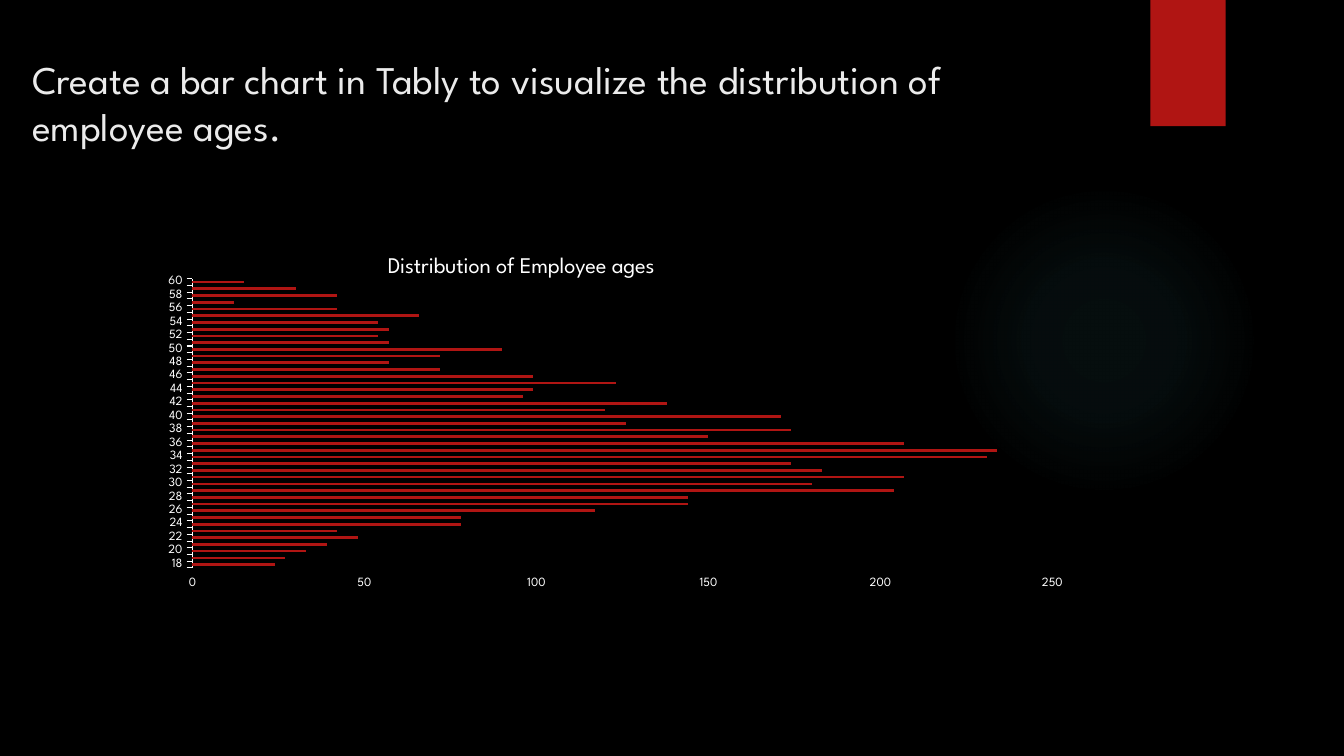
from pptx import Presentation
from pptx.chart.data import CategoryChartData
from pptx.dml.color import RGBColor
from pptx.enum.chart import XL_CHART_TYPE, XL_TICK_MARK
from pptx.enum.shapes import MSO_SHAPE
from pptx.enum.text import MSO_ANCHOR
from pptx.oxml import parse_xml
from pptx.oxml.ns import nsdecls, qn
from pptx.util import Inches, Pt
from lxml.etree import SubElement

WIDE, HIGH = 13.33, 7.5
THEME = {
    "back": "000000", "red": "B01513", "glow": "50B9C1",
    "head": {"name": "League Spartan", "size": Pt(28), "color": "EBEBEB"},
    "base": {"name": "League Spartan", "size": Pt(10), "color": "FFFFFF"},
    "axis": {"name": "League Spartan", "size": Pt(9), "color": "FFFFFF"},
    "title": {"name": "League Spartan", "size": Pt(16), "color": "FFFFFF", "bold": False},
}
FIRST_AGE = 18
COUNTS = [24, 27, 33, 39, 48, 42, 78, 78, 117, 144, 144, 204, 180, 207, 183,
          174, 231, 234, 207, 150, 174, 126, 171, 120, 138, 96, 99, 123, 99,
          72, 57, 72, 90, 57, 54, 57, 54, 66, 42, 12, 42, 30, 15]


def share(x, y, w, h):
    """Turn shares of the slide into a box."""
    return [Inches(v * side) for v, side in zip((x, y, w, h), (WIDE, HIGH) * 2)]


def paint(fill, color):
    fill.solid()
    fill.fore_color.rgb = RGBColor.from_string(color)


def style(font, look):
    for key, value in look.items():
        if key == "color":
            font.color.rgb = RGBColor.from_string(value)
        else:
            setattr(font, key, value)


def plain(slide, kind, box):
    shape = slide.shapes.add_shape(kind, *box)
    shape.shadow.inherit = False
    shape.line.fill.background()
    return shape


def add_glow(slide, box):
    glow = plain(slide, MSO_SHAPE.OVAL, box)
    stops = "".join(
        f'<a:gs pos="{pos}000"><a:srgbClr val="{THEME["glow"]}">'
        f'<a:alpha val="{alpha}000"/></a:srgbClr></a:gs>'
        for pos, alpha in ((0, 7), (36, 6), (69, 0)))
    grad = parse_xml(
        f'<a:gradFill {nsdecls("a")} rotWithShape="1"><a:gsLst>{stops}</a:gsLst>'
        '<a:path path="circle"><a:fillToRect l="50000" t="50000" r="50000" b="50000"/>'
        '</a:path></a:gradFill>')
    glow._element.spPr.find(qn("a:prstGeom")).addnext(grad)


def add_tab(slide, box):
    paint(plain(slide, MSO_SHAPE.RECTANGLE, box).fill, THEME["red"])


def add_head(slide, box, words):
    frame = slide.shapes.add_textbox(*box).text_frame
    frame.word_wrap = True
    frame.vertical_anchor = MSO_ANCHOR.MIDDLE
    run = frame.paragraphs[0].add_run()
    run.text = words
    style(run.font, THEME["head"])


def lay_out(node, index, spots):
    """Fix a chart part at shares of the chart's size."""
    for old in node.findall(qn("c:layout")):
        node.remove(old)
    layout = parse_xml(f'<c:layout {nsdecls("c")}><c:manualLayout/></c:layout>')
    for tag, value in spots.items():
        SubElement(layout[0], qn(f"c:{tag}")).set("val", str(value))
    node.insert(index, layout)


def add_bars(slide, box, words):
    data = CategoryChartData()
    data.categories = [str(FIRST_AGE + i) for i in range(len(COUNTS))]
    data.add_series("Series 1", COUNTS)
    chart = slide.shapes.add_chart(XL_CHART_TYPE.BAR_STACKED, *box, data).chart
    chart.has_legend = False
    style(chart.font, THEME["base"])

    # Title
    chart.has_title = True
    title = chart.chart_title
    run = title.text_frame.paragraphs[0].add_run()
    run.text = words
    style(run.font, THEME["title"])
    edge = {"xMode": "edge", "yMode": "edge"}
    lay_out(title._element, 1, {**edge, "x": 0.25, "y": 0.08})
    lay_out(chart._chartSpace.chart.plotArea, 0,
            {"layoutTarget": "inner", **edge, "x": 0.045, "y": 0.153, "w": 0.922, "h": 0.773})

    # Bars
    plot = chart.plots[0]
    for key, value in {"gap_width": 150, "overlap": 100, "vary_by_categories": False}.items():
        setattr(plot, key, value)
    paint(plot.series[0].format.fill, THEME["red"])

    # Axes
    ages, count = chart.category_axis, chart.value_axis
    for axis in (ages, count):
        axis.has_major_gridlines = False
        axis.major_tick_mark = XL_TICK_MARK.OUTSIDE
        style(axis.tick_labels.font, THEME["axis"])
    paint(ages.format.line.fill, THEME["axis"]["color"])
    ages.format.line.width = Pt(0.75)
    count.format.line.fill.background()
    for key, value in {"minimum_scale": 0, "maximum_scale": 250, "major_unit": 50}.items():
        setattr(count, key, value)


def main():
    deck = Presentation()
    deck.slide_width, deck.slide_height = Inches(WIDE), Inches(HIGH)
    slide = deck.slides.add_slide(deck.slide_layouts[6])
    paint(slide.background.fill, THEME["back"])
    add_glow(slide, share(0.706, 0.244, 0.231, 0.411))
    add_tab(slide, share(0.856, 0, 0.056, 0.167))
    add_head(slide, share(0.0165, 0.067, 0.808, 0.136),
             "Create a bar chart in Tably to visualize the distribution of employee ages.")
    add_bars(slide, share(0.112, 0.293, 0.694, 0.495), "Distribution of Employee ages")
    deck.save("out.pptx")


if __name__ == "__main__":
    main()
